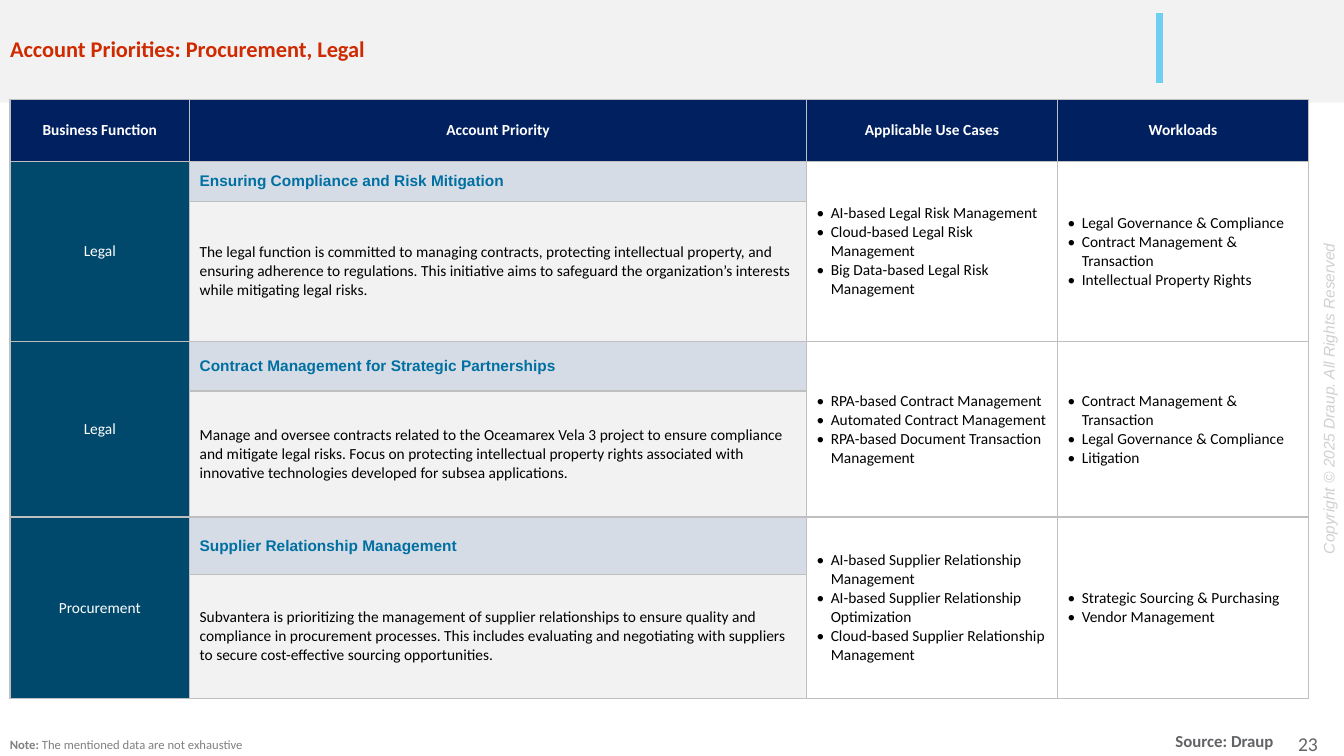
"""Build the account priorities slide for the procurement and legal functions."""
from dataclasses import dataclass

from lxml.etree import SubElement
from pptx import Presentation
from pptx.dml.color import RGBColor
from pptx.enum.shapes import MSO_CONNECTOR, MSO_SHAPE
from pptx.enum.text import MSO_ANCHOR, PP_ALIGN
from pptx.oxml import parse_xml
from pptx.oxml.ns import nsdecls, qn
from pptx.slide import Slide
from pptx.table import _Cell
from pptx.text.text import _Paragraph, _Run
from pptx.util import Inches, Pt

WHITE = RGBColor(0xFF, 0xFF, 0xFF)
BLACK = RGBColor(0x00, 0x00, 0x00)
PALE_GRAY = RGBColor(0xF2, 0xF2, 0xF2)
NOTE_GRAY = RGBColor(0x80, 0x80, 0x80)
FOOTER_GRAY = RGBColor(0x62, 0x63, 0x66)
COPYRIGHT_GRAY = RGBColor(0x4A, 0x4A, 0x4D)
BORDER_GRAY = RGBColor(0xBF, 0xBF, 0xBF)
TITLE_RED = RGBColor(0xCF, 0x2A, 0x00)
ACCENT_BLUE = RGBColor(0x6F, 0xCF, 0xF3)
NAVY = RGBColor(0x00, 0x20, 0x60)
TEAL = RGBColor(0x00, 0x49, 0x6C)
HEADING_BLUE = RGBColor(0x00, 0x6F, 0xA2)
HEADING_FILL = RGBColor(0xD6, 0xDC, 0xE5)

HEADERS = ["Business Function", "Account Priority", "Applicable Use Cases", "Workloads"]
COLUMN_WIDTHS = [1.78, 6.12, 2.49, 2.49]
HEADER_HEIGHT = 0.61
BULLET_INDENT = Inches(0.14)


@dataclass(frozen=True)
class TextStyle:
    size: float
    color: RGBColor
    font: str = "Calibri"
    bold: bool = False
    italic: bool = False


@dataclass(frozen=True)
class Label:
    left: float
    top: float
    width: float
    height: float
    runs: list[tuple[str, TextStyle]]
    wrap: bool = True
    alignment: PP_ALIGN = PP_ALIGN.LEFT
    anchor: MSO_ANCHOR = MSO_ANCHOR.TOP
    rotation: float = 0
    opacity: int = 100


@dataclass(frozen=True)
class Priority:
    function: str
    heading: str
    description: str
    use_cases: list[str]
    workloads: list[str]
    heading_height: float
    description_height: float


HEADER_STYLE = TextStyle(11, WHITE, bold=True)
FUNCTION_STYLE = TextStyle(11, WHITE)
HEADING_STYLE = TextStyle(11, HEADING_BLUE, "Arial", bold=True)
BODY_STYLE = TextStyle(11, BLACK)

LABELS = [
    Label(11.56, 7.2, 1.19, 0.3,
          [("Source: Draup", TextStyle(12, FOOTER_GRAY, bold=True))], wrap=False),
    Label(12.67, 7.17, 0.5, 0.37, [("23", TextStyle(14, FOOTER_GRAY))],
          alignment=PP_ALIGN.RIGHT, anchor=MSO_ANCHOR.BOTTOM),
    Label(10.48, 2.75, 5.4, 0.29,
          [("Copyright © 2025 Draup. All Rights Reserved.",
            TextStyle(11, COPYRIGHT_GRAY, "Arial", italic=True))],
          rotation=270, opacity=26),
    Label(0, 7.26, 7.19, 0.25,
          [("Note: ", TextStyle(9, NOTE_GRAY, bold=True)),
           ("The mentioned data are not exhaustive", TextStyle(9, NOTE_GRAY))]),
]

PRIORITIES = [
    Priority(
        "Legal", "Ensuring Compliance and Risk Mitigation",
        "The legal function is committed to managing contracts, protecting intellectual "
        "property, and ensuring adherence to regulations. This initiative aims to safeguard "
        "the organization’s interests while mitigating legal risks.",
        ["AI-based Legal Risk Management", "Cloud-based Legal Risk Management",
         "Big Data-based Legal Risk Management"],
        ["Legal Governance & Compliance", "Contract Management & Transaction",
         "Intellectual Property Rights"], 0.4, 1.39),
    Priority(
        "Legal", "Contract Management for Strategic Partnerships",
        "Manage and oversee contracts related to the Oceamarex Vela 3 project to ensure "
        "compliance and mitigate legal risks. Focus on protecting intellectual property rights "
        "associated with innovative technologies developed for subsea applications.",
        ["RPA-based Contract Management", "Automated Contract Management",
         "RPA-based Document Transaction Management"],
        ["Contract Management & Transaction", "Legal Governance & Compliance", "Litigation"],
        0.49, 1.25),
    Priority(
        "Procurement", "Supplier Relationship Management",
        "Subvantera is prioritizing the management of supplier relationships to ensure quality "
        "and compliance in procurement processes. This includes evaluating and negotiating with "
        "suppliers to secure cost-effective sourcing opportunities.",
        ["AI-based Supplier Relationship Management",
         "AI-based Supplier Relationship Optimization",
         "Cloud-based Supplier Relationship Management"],
        ["Strategic Sourcing & Purchasing", "Vendor Management"], 0.57, 1.23),
]


def add_run(paragraph: _Paragraph, text: str, style: TextStyle) -> _Run:
    run = paragraph.add_run()
    run.text = text
    run.font.name = style.font
    run.font.size = Pt(style.size)
    run.font.bold = style.bold
    run.font.italic = style.italic
    run.font.color.rgb = style.color
    return run


def add_bullet(paragraph: _Paragraph) -> None:
    properties = paragraph._p.get_or_add_pPr()
    properties.set("marL", str(BULLET_INDENT))
    properties.set("indent", str(-BULLET_INDENT))
    SubElement(properties, qn("a:buFont"), typeface="Calibri")
    SubElement(properties, qn("a:buChar"), char="•")


def add_label(slide: Slide, label: Label) -> None:
    box = slide.shapes.add_textbox(
        Inches(label.left), Inches(label.top), Inches(label.width), Inches(label.height))
    box.rotation = label.rotation
    frame = box.text_frame
    frame.word_wrap = label.wrap
    frame.vertical_anchor = label.anchor
    paragraph = frame.paragraphs[0]
    paragraph.alignment = label.alignment
    for text, style in label.runs:
        run = add_run(paragraph, text, style)
        if label.opacity < 100:
            color = run._r.find(".//" + qn("a:srgbClr"))
            SubElement(color, qn("a:alpha"), val=str(label.opacity * 1000))


def add_header(slide: Slide) -> None:
    band = slide.shapes.add_shape(
        MSO_SHAPE.RECTANGLE, 0, Inches(-0.01), Inches(13.33), Inches(1.03))
    band.shadow.inherit = False
    band.fill.solid()
    band.fill.fore_color.rgb = PALE_GRAY
    band.line.fill.background()
    accent = slide.shapes.add_connector(
        MSO_CONNECTOR.STRAIGHT, Inches(11.5), Inches(0.13), Inches(11.5), Inches(0.82))
    accent.line.color.rgb = ACCENT_BLUE
    accent.line.width = Pt(5.25)
    SubElement(accent.element.spPr, qn("a:effectLst"))

    title = slide.shapes.title
    title.left, title.top = Inches(0), Inches(0.03)
    title.width, title.height = Inches(11.34), Inches(0.93)
    title.text_frame.word_wrap = True
    title.text_frame.vertical_anchor = MSO_ANCHOR.MIDDLE
    paragraph = title.text_frame.paragraphs[0]
    paragraph.alignment = PP_ALIGN.LEFT
    paragraph.line_spacing = 0.9
    add_run(paragraph, "Account Priorities: Procurement, Legal",
            TextStyle(16, TITLE_RED, bold=True))
    accent.element.addnext(title.element)


def fill_cell(cell: _Cell, lines: list[str], style: TextStyle, fill: RGBColor,
              alignment: PP_ALIGN = PP_ALIGN.LEFT, bulleted: bool = False) -> None:
    cell.fill.solid()
    cell.fill.fore_color.rgb = fill
    cell.vertical_anchor = MSO_ANCHOR.MIDDLE
    if bulleted:
        cell.margin_right = Inches(0.05)
    for index, line in enumerate(lines):
        frame = cell.text_frame
        paragraph = frame.paragraphs[0] if index == 0 else frame.add_paragraph()
        paragraph.alignment = alignment
        if bulleted:
            add_bullet(paragraph)
        add_run(paragraph, line, style)


def add_borders(cell: _Cell) -> None:
    properties = cell._tc.get_or_add_tcPr()
    for position, side in enumerate(("lnL", "lnR", "lnT", "lnB")):
        properties.insert(position, parse_xml(
            f'<a:{side} {nsdecls("a")} w="{Pt(1)}"><a:solidFill>'
            f'<a:srgbClr val="{BORDER_GRAY}"/></a:solidFill></a:{side}>'))


def add_priority_table(slide: Slide) -> None:
    heights = [HEADER_HEIGHT]
    for priority in PRIORITIES:
        heights += [priority.heading_height, priority.description_height]
    table = slide.shapes.add_table(
        len(heights), len(HEADERS), Inches(0.1), Inches(0.99),
        Inches(sum(COLUMN_WIDTHS)), Inches(sum(heights))).table
    table.horz_banding = False
    for column, width in zip(table.columns, COLUMN_WIDTHS):
        column.width = Inches(width)
    for row, height in zip(table.rows, heights):
        row.height = Inches(height)
    for index, header in enumerate(HEADERS):
        fill_cell(table.cell(0, index), [header], HEADER_STYLE, NAVY, PP_ALIGN.CENTER)
    for index, priority in enumerate(PRIORITIES):
        top = 1 + 2 * index
        for column in (0, 2, 3):
            table.cell(top, column).merge(table.cell(top + 1, column))
        fill_cell(table.cell(top, 0), [priority.function], FUNCTION_STYLE, TEAL, PP_ALIGN.CENTER)
        fill_cell(table.cell(top, 1), [priority.heading], HEADING_STYLE, HEADING_FILL)
        fill_cell(table.cell(top + 1, 1), [priority.description], BODY_STYLE, PALE_GRAY)
        for column, items in ((2, priority.use_cases), (3, priority.workloads)):
            fill_cell(table.cell(top, column), items, BODY_STYLE, WHITE, bulleted=True)
    for cell in table.iter_cells():
        add_borders(cell)


def main() -> None:
    presentation = Presentation()
    presentation.slide_width, presentation.slide_height = Inches(13.33), Inches(7.5)
    slide = presentation.slides.add_slide(presentation.slide_layouts.get_by_name("Title Only"))
    add_header(slide)
    for label in LABELS:
        add_label(slide, label)
    add_priority_table(slide)
    presentation.save("out.pptx")


if __name__ == "__main__":
    main()
